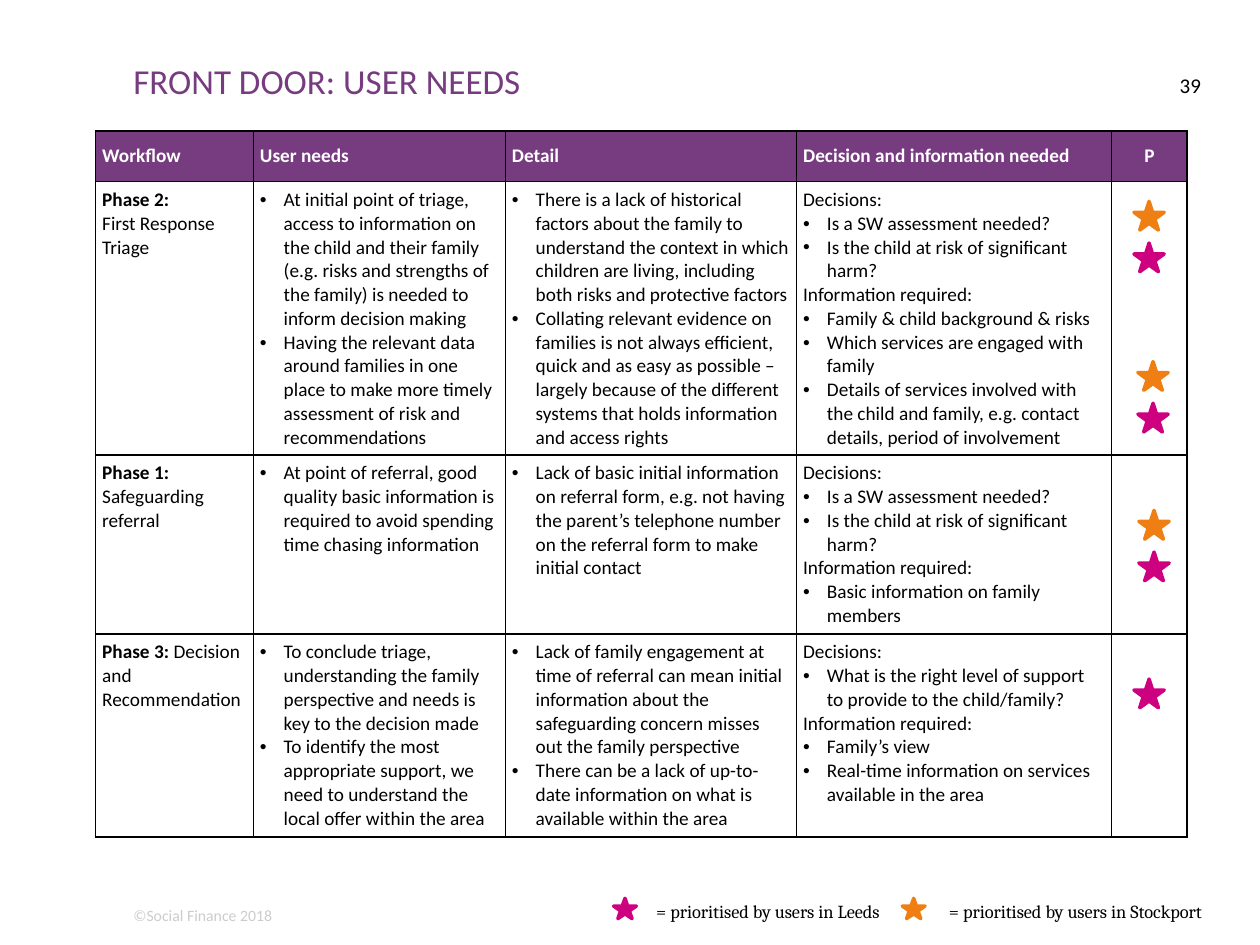
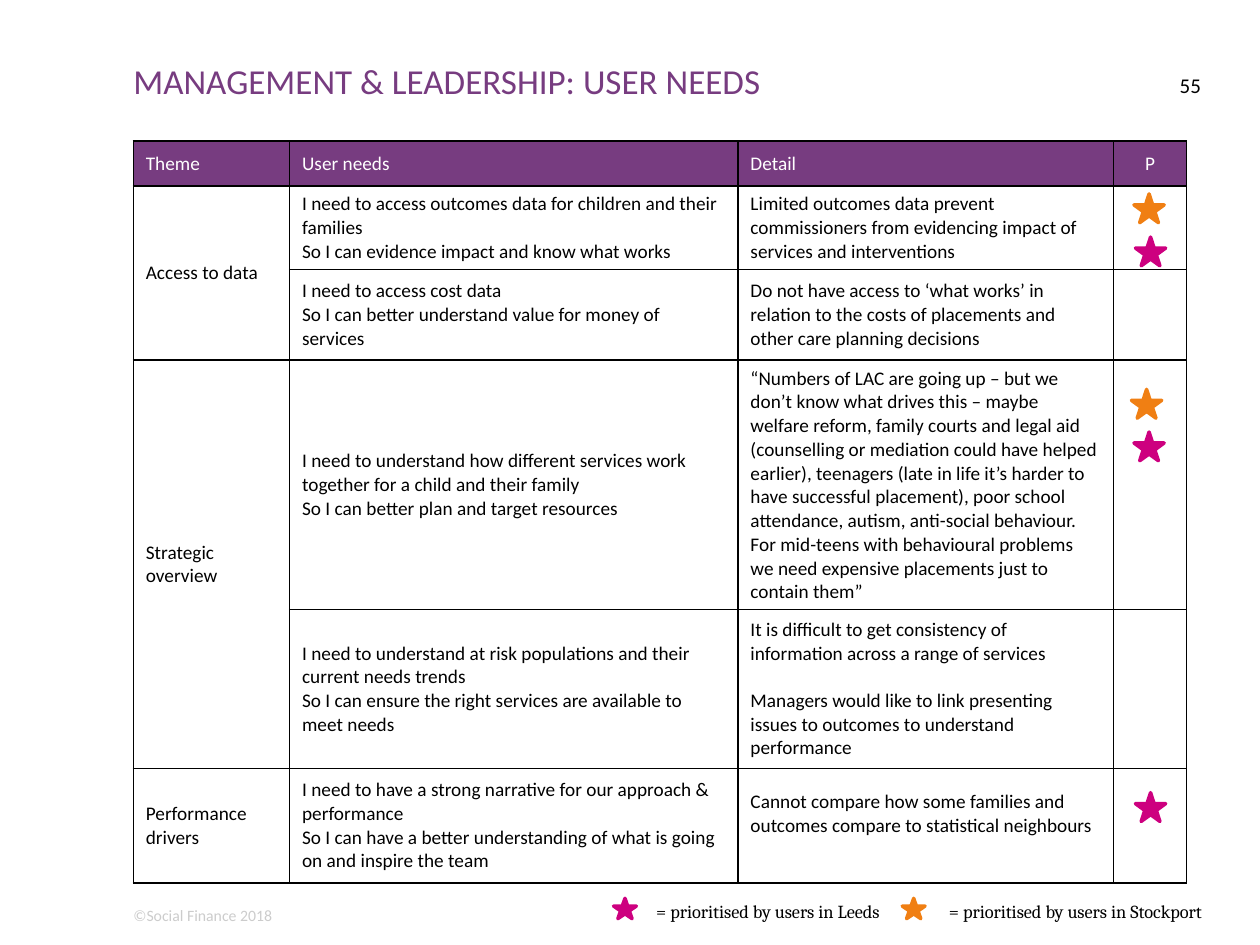
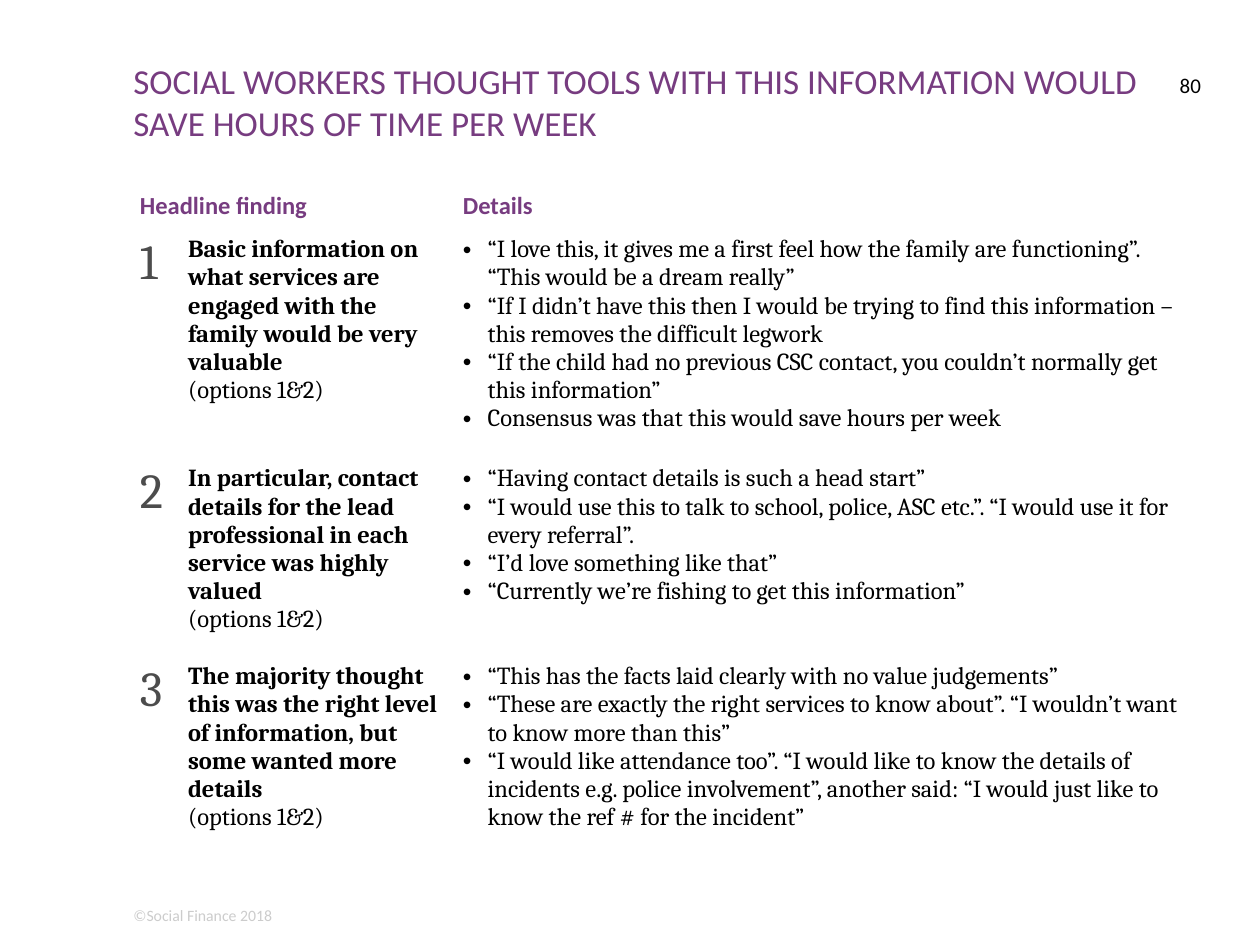
"""Build three user-research slides: two tables of user needs and one of findings."""
from lxml import etree
from pptx import Presentation
from pptx.dml import color
from pptx.enum import shapes, text
from pptx.oxml import ns
from pptx.util import Cm, Pt

PURPLE, PINK, ORANGE = "773C80", "CD007F", "F07F13"
BLACK, WHITE, DARK_GREY, PALE_GREY = "000000", "FFFFFF", "4C4C4C", "CCCCCC"
SANS, SERIF = "Calibri", "Cambria"
LEFT = 2.69
STAR, LEGEND_STAR = (0.61, 0.58), (0.46, 0.41)
COPYRIGHT = "©Social Finance 2018"
LEGEND = [
    (PINK, 12.37, 13.23, "= prioritised by users in Leeds"),
    (ORANGE, 18.19, 19.13, "= prioritised by users in Stockport"),
]

FRONT_DOOR = {
    "title": "FRONT DOOR: USER NEEDS",
    "page": "39",
    "at": (1.93, 2.64),
    "cols": [3.18, 5.08, 5.87, 6.35, 1.52],
    "rows": [1.02, 5.51, 3.61, 4.09],
    "margins": (0.13, 0.13),
    "indent": 0.48,
    "cells": [
        [["**Workflow**"], ["**User needs**"], ["**Detail**"],
         ["**Decision and information needed**"], ["**P**"]],
        [["**Phase 2:**", "First Response Triage"],
         ["• At initial point of triage, access to information on the child and their family "
          "(e.g. risks and strengths of the family) is needed to inform decision making",
          "• Having the relevant data around families in one place to make more timely "
          "assessment of risk and recommendations"],
         ["• There is a lack of historical factors about the family to understand the context "
          "in which children are living, including both risks and protective factors",
          "• Collating relevant evidence on families is not always efficient, quick and as easy "
          "as possible – largely because of the different systems that holds information and "
          "access rights"],
         ["Decisions:",
          "• Is a SW assessment needed?",
          "• Is the child at risk of significant harm?",
          "Information required:",
          "• Family & child background & risks",
          "• Which services are engaged with family",
          "• Details of services involved with the child and family, e.g. contact details, "
          "period of involvement"],
         []],
        [["**Phase 1: **Safeguarding referral"],
         ["• At point of referral, good quality basic information is required to avoid spending "
          "time chasing information"],
         ["• Lack of basic initial information on referral form, e.g. not having the parent’s "
          "telephone number on the referral form to make initial contact"],
         ["Decisions:",
          "• Is a SW assessment needed?",
          "• Is the child at risk of significant harm?",
          "Information required:",
          "• Basic information on family members"],
         []],
        [["**Phase 3:** Decision and Recommendation"],
         ["• To conclude triage, understanding the family perspective and needs is key to the "
          "decision made",
          "• To identify the most appropriate support, we need to understand the local offer "
          "within the area"],
         ["• Lack of family engagement at time of referral can mean initial information about "
          "the safeguarding concern misses out the family perspective",
          "• There can be a lack of up-to-date information on what is available within the area"],
         ["Decisions:",
          "• What is the right level of support to provide to the child/family?",
          "Information required:",
          "• Family’s view",
          "• Real-time information on services available in the area"],
         []],
    ],
    "stars": [
        (ORANGE, 22.86, 4.06), (PINK, 22.86, 4.9), (ORANGE, 22.94, 7.29), (PINK, 22.94, 8.13),
        (ORANGE, 22.96, 10.29), (PINK, 22.96, 11.13), (PINK, 22.86, 13.69),
    ],
}

MANAGEMENT = {
    "title": "MANAGEMENT & LEADERSHIP: USER NEEDS",
    "page": "55",
    "at": (LEFT, 2.84),
    "cols": [3.15, 9.04, 7.57, 1.47],
    "rows": [0.91, 1.68, 1.83, 5.03, 3.2, 2.31],
    "margins": (0.25, 0.13),
    "merges": [(1, 0, 2, 0), (3, 0, 4, 0)],
    "cells": [
        [["Theme"], ["User needs"], ["Detail"], ["P"]],
        [["Access to data"],
         ["I need to access outcomes data for children and their families",
          "So I can evidence impact and know what works"],
         ["Limited outcomes data prevent commissioners from evidencing impact of services and "
          "interventions"],
         []],
        [[],
         ["I need to access cost data",
          "So I can better understand value for money of services"],
         ["Do not have access to ‘what works’ in relation to the costs of placements and other "
          "care planning decisions"],
         []],
        [["Strategic overview"],
         ["I need to understand how different services work together for a child and their family",
          "So I can better plan and target resources"],
         ["“Numbers of LAC are going up – but we don’t know what drives this – maybe welfare "
          "reform, family courts and legal aid (counselling or mediation could have helped "
          "earlier), teenagers (late in life it’s harder to have successful placement), poor "
          "school attendance, autism, anti-social behaviour. For mid-teens with behavioural "
          "problems we need expensive placements just to contain them”"],
         []],
        [[],
         ["I need to understand at risk populations and their current needs trends",
          "So I can ensure the right services are available to meet needs"],
         ["It is difficult to get consistency of information across a range of services",
          "Managers would like to link presenting issues to outcomes to understand performance"],
         []],
        [["Performance drivers"],
         ["I need to have a strong narrative for our approach & performance",
          "So I can have a better understanding of what is going on and inspire the team"],
         ["Cannot compare how some families and outcomes compare to statistical neighbours"],
         []],
    ],
    "stars": [
        (ORANGE, 22.86, 3.91), (PINK, 22.89, 4.78), (ORANGE, 22.81, 7.85),
        (PINK, 22.86, 8.71), (PINK, 22.89, 15.98),
    ],
}

FINDINGS = {
    "title": "SOCIAL WORKERS THOUGHT TOOLS WITH THIS INFORMATION WOULD SAVE HOURS OF TIME PER WEEK",
    "page": "80",
    "at": (LEFT, 3.73),
    "cols": [0.97, 5.54, 15.09],
    "rows": [0.89, 4.62, 3.99, 4.62],
    "margins": (0.13, 0.13),
    "indent": 0.5,
    "merges": [(0, 0, 0, 1)],
    "cells": [
        [["**Headline finding**"], [], ["**Details**"]],
        [["1"],
         ["**Basic information on what services are engaged with the family would be very "
          "valuable**", "(options 1&2)"],
         ["• “I love this, it gives me a first feel how the family are functioning”. “This would "
          "be a dream really”",
          "• “If I didn’t have this then I would be trying to find this information – this "
          "removes the difficult legwork",
          "• “If the child had no previous CSC contact, you couldn’t normally get this "
          "information”",
          "• Consensus was that this would save hours per week"]],
        [["2"],
         ["**In particular, contact details for the lead professional in each service was highly "
          "valued**", "(options 1&2)"],
         ["• “Having contact details is such a head start”",
          "• “I would use this to talk to school, police, ASC etc.”. “I would use it for every "
          "referral”.",
          "• “I’d love something like that”",
          "• “Currently we’re fishing to get this information”"]],
        [["3"],
         ["**The majority thought this was the right level of information, but some wanted more "
          "details**", "(options 1&2)"],
         ["• “This has the facts laid clearly with no value judgements”",
          "• “These are exactly the right services to know about”. “I wouldn’t want to know more "
          "than this”",
          "• “I would like attendance too”. “I would like to know the details of incidents e.g. "
          "police involvement”, another said: “I would just like to know the ref # for the "
          "incident”"]],
    ],
}


def rgb(value):
    return color.RGBColor.from_string(value)


def add_bullet(paragraph, indent):
    properties = paragraph._p.get_or_add_pPr()
    properties.set("marL", str(Cm(indent)))
    properties.set("indent", str(-Cm(indent)))
    etree.SubElement(properties, ns.qn("a:buFont")).set("typeface", "Arial")
    etree.SubElement(properties, ns.qn("a:buChar")).set("char", "•")


def write(frame, lines, size, ink, face=SANS, align=text.PP_ALIGN.LEFT, indent=0):
    """Fill a text frame; ** switches bold and a leading bullet indents the line."""
    for number, line in enumerate(lines):
        paragraph = frame.add_paragraph() if number else frame.paragraphs[0]
        paragraph.alignment = align
        if line.startswith("• "):
            add_bullet(paragraph, indent)
        pieces = [(piece, bool(i % 2))
                  for i, piece in enumerate(line.removeprefix("• ").split("**")) if piece]
        weights = {bold for _, bold in pieces}
        for piece, bold in pieces:
            run = paragraph.add_run()
            run.text = piece
            if len(weights) > 1:
                run.font.bold = bold
        font = paragraph.font
        font.name, font.size, font.color.rgb = face, Pt(size), rgb(ink)
        if len(weights) == 1:
            font.bold = weights.pop()


def add_text(slide, box, line, size, ink, face=SANS, align=text.PP_ALIGN.LEFT):
    frame = slide.shapes.add_textbox(*map(Cm, box)).text_frame
    frame.word_wrap = True
    frame.margin_left = frame.margin_right = frame.margin_top = frame.margin_bottom = 0
    write(frame, [line], size, ink, face, align)


def add_star(slide, ink, left, top, size=STAR):
    star = slide.shapes.add_shape(shapes.MSO_SHAPE.STAR_5_POINT, *map(Cm, (left, top, *size)))
    star.shadow.inherit = False
    star.fill.solid()
    star.fill.fore_color.rgb = star.line.color.rgb = rgb(ink)
    star.line.width = Pt(2)


def add_borders(cell):
    properties = cell._tc.get_or_add_tcPr()
    for position, side in enumerate(("a:lnL", "a:lnR", "a:lnT", "a:lnB")):
        border = etree.Element(ns.qn(side), w=str(Pt(1)))
        fill = etree.SubElement(border, ns.qn("a:solidFill"))
        etree.SubElement(fill, ns.qn("a:srgbClr")).set("val", BLACK)
        properties.insert(position, border)


def add_grid(slide, content):
    """Add the table with its sizes, merges, margins and unfilled cells."""
    cols, rows = content["cols"], content["rows"]
    box = (*content["at"], sum(cols), sum(rows))
    table = slide.shapes.add_table(len(rows), len(cols), *map(Cm, box)).table
    table.first_row = table.horz_banding = False
    for column, width in zip(table.columns, cols):
        column.width = Cm(width)
    for row, height in zip(table.rows, rows):
        row.height = Cm(height)
    for top, left, bottom, right in content.get("merges", []):
        table.cell(top, left).merge(table.cell(bottom, right))
    side, edge = map(Cm, content["margins"])
    for cell in table.iter_cells():
        cell.margin_left = cell.margin_right = side
        cell.margin_top = cell.margin_bottom = edge
        cell.fill.background()
    return table


def each_cell(table, content):
    for r, row in enumerate(content["cells"]):
        for c, lines in enumerate(row):
            yield r, c, table.cell(r, c), lines


def add_needs(slide, content, middle):
    """Add a bordered needs table with a purple header, priority stars and legend."""
    table = add_grid(slide, content)
    last = len(content["cols"]) - 1
    for r, c, cell, lines in each_cell(table, content):
        if r == 0:
            cell.fill.solid()
            cell.fill.fore_color.rgb = rgb(PURPLE)
        if r == 0 or middle:
            cell.vertical_anchor = text.MSO_ANCHOR.MIDDLE
        align = text.PP_ALIGN.CENTER if c == last else text.PP_ALIGN.LEFT
        write(cell.text_frame, lines, 11, BLACK if r else WHITE, align=align,
              indent=content.get("indent", 0))
        add_borders(cell)
    for star in content["stars"]:
        add_star(slide, *star)
    for ink, star_left, label_left, label in LEGEND:
        add_star(slide, ink, star_left, 18.11, LEGEND_STAR)
        add_text(slide, (label_left, 18.14, 5.4, 0.5), label, 10.5, BLACK, SERIF)
    return table


def add_findings(slide, content):
    table = add_grid(slide, content)
    for r, c, cell, lines in each_cell(table, content):
        if r == 0:
            size, ink, face = 14, PURPLE, SANS
        elif c == 0:
            size, ink, face = 28, DARK_GREY, SERIF
        else:
            size, ink, face = 14, BLACK, SERIF
        write(cell.text_frame, lines, size, ink, face, indent=content["indent"])


def add_page(deck, content):
    slide = deck.slides.add_slide(deck.slide_layouts[6])
    add_text(slide, (LEFT, 18.26, 21.44, 0.38), COPYRIGHT, 9, PALE_GREY)
    add_text(slide, (LEFT, 1.19, 20.5, 1.88), content["title"], 20, PURPLE)
    add_text(slide, (23.5, 1.47, 0.71, 1.02), content["page"], 12, BLACK,
             align=text.PP_ALIGN.RIGHT)
    return slide


def main():
    deck = Presentation()
    deck.slide_width, deck.slide_height = Cm(25.4), Cm(19.05)
    add_needs(add_page(deck, FRONT_DOOR), FRONT_DOOR, middle=False)
    themes = add_needs(add_page(deck, MANAGEMENT), MANAGEMENT, middle=True)
    themes.cell(4, 2).text_frame.paragraphs[1].space_before = Pt(13.4)
    themes.cell(5, 2).margin_bottom = Cm(0.6)
    add_findings(add_page(deck, FINDINGS), FINDINGS)
    deck.save("out.pptx")


if __name__ == "__main__":
    main()
